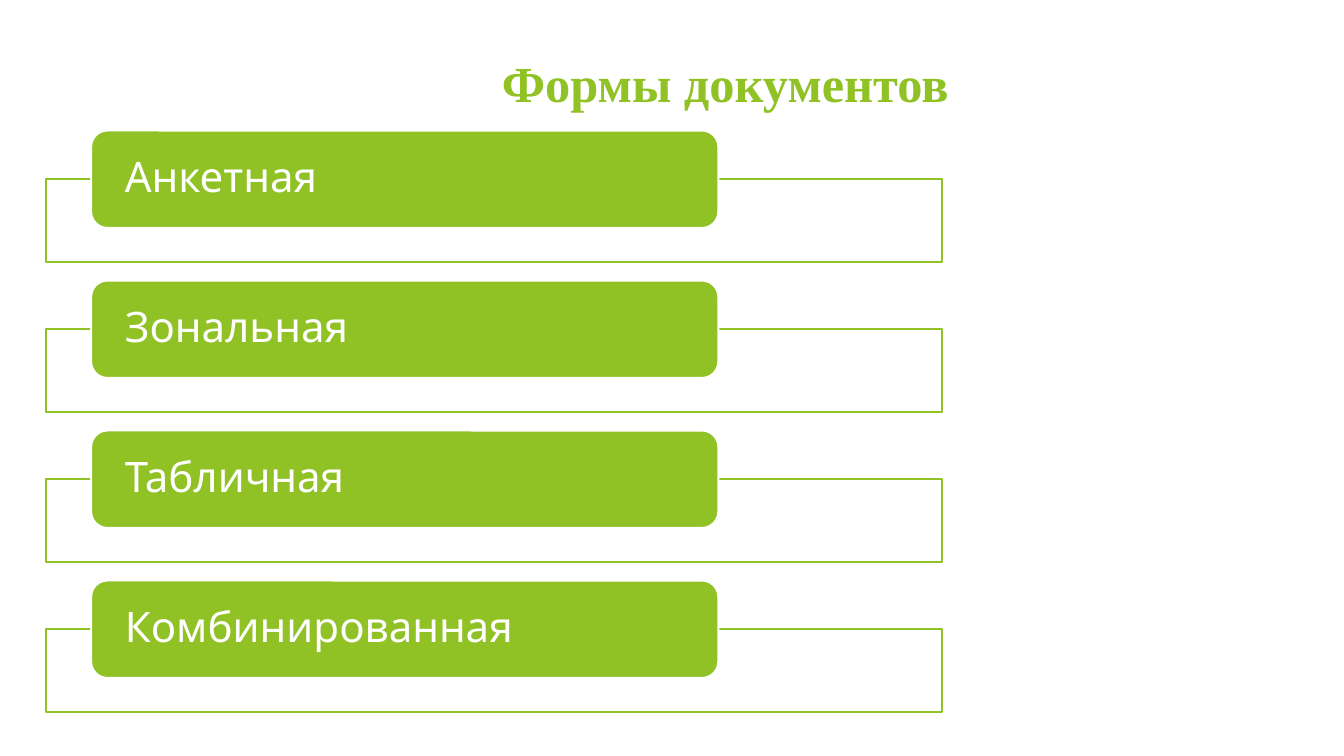
from dataclasses import dataclass

from lxml.etree import SubElement
from pptx import Presentation
from pptx.dml.color import RGBColor
from pptx.enum.shapes import MSO_SHAPE
from pptx.enum.text import MSO_ANCHOR, MSO_AUTO_SIZE, PP_ALIGN
from pptx.oxml.ns import qn
from pptx.shapes.autoshape import Shape
from pptx.slide import Slide
from pptx.util import Emu, Inches, Pt

GREEN, WHITE = "90C226", "FFFFFF"
SLIDE_W, SLIDE_H = Inches(13.33), Inches(7.5)
ROW_PITCH = 19.84
FORMS = ["Анкетная", "Зональная", "Табличная", "Комбинированная"]


@dataclass(frozen=True)
class Area:
    """A rectangle in percent of the slide's width and height."""
    x: float
    y: float
    w: float
    h: float

    def down(self, rows: int) -> "Area":
        return Area(self.x, self.y + rows * ROW_PITCH, self.w, self.h)


@dataclass(frozen=True)
class Block:
    kind: MSO_SHAPE
    area: Area
    fill: str
    line: str


TITLE = Area(29.1, 5.33, 64.07, 11.87)
FRAME = Block(MSO_SHAPE.RECTANGLE, Area(3.45, 23.67, 66.67, 11.02), WHITE, GREEN)
LABEL = Block(MSO_SHAPE.ROUNDED_RECTANGLE, Area(6.78, 17.26, 46.67, 12.9), GREEN, WHITE)


def across(share: float) -> Emu:
    return Emu(round(SLIDE_W * share / 100))


def down(share: float) -> Emu:
    return Emu(round(SLIDE_H * share / 100))


def color(value: str) -> RGBColor:
    return RGBColor.from_string(value)


def set_all(target: object, values: dict) -> None:
    for name, value in values.items():
        setattr(target, name, value)


def place(area: Area) -> dict:
    return {"left": across(area.x), "top": down(area.y),
            "width": across(area.w), "height": down(area.h)}


def write(sp: Shape, text: str, frame: dict, para: dict, font: dict, ink: str) -> None:
    tf = sp.text_frame
    set_all(tf, {"word_wrap": True, "auto_size": MSO_AUTO_SIZE.NONE, **frame})
    p = tf.paragraphs[0]
    set_all(p, {"alignment": PP_ALIGN.LEFT, **para})
    r = p.add_run()
    r.text = text
    set_all(r.font, font)
    r.font.color.rgb = color(ink)


def add_block(s: Slide, block: Block, row: int) -> Shape:
    sp = s.shapes.add_shape(block.kind, **place(block.area.down(row)))
    sp.shadow.inherit = False
    sp.fill.solid()
    sp.fill.fore_color.rgb = color(block.fill)
    sp.line.color.rgb = color(block.line)
    sp.line.width = Pt(1.5)
    return sp


def set_opacity(sp: Shape, percent: int) -> None:
    rgb = sp.fill._xPr.find(qn("a:solidFill")).find(qn("a:srgbClr"))
    SubElement(rgb, qn("a:alpha"), val=str(percent * 1000))


def main() -> None:
    prs = Presentation()
    set_all(prs, {"slide_width": SLIDE_W, "slide_height": SLIDE_H})
    s = prs.slides.add_slide(prs.slide_layouts[5])

    title = s.shapes.title
    set_all(title, place(TITLE))
    write(title, "Формы документов",
          {"vertical_anchor": MSO_ANCHOR.TOP, "margin_left": across(8.25),
           "margin_top": down(1.5)},
          {}, {"name": "Times New Roman", "size": Pt(36), "bold": True}, GREEN)

    for row, form in enumerate(FORMS):
        set_opacity(add_block(s, FRAME, row), 90)
        write(add_block(s, LABEL, row), form,
              {"vertical_anchor": MSO_ANCHOR.MIDDLE, "margin_left": across(2.16),
               "margin_right": across(2.16), "margin_top": 0, "margin_bottom": 0},
              {"line_spacing": 0.9}, {"name": "Karla", "size": Pt(30)}, WHITE)

    prs.save("out.pptx")


if __name__ == "__main__":
    main()
